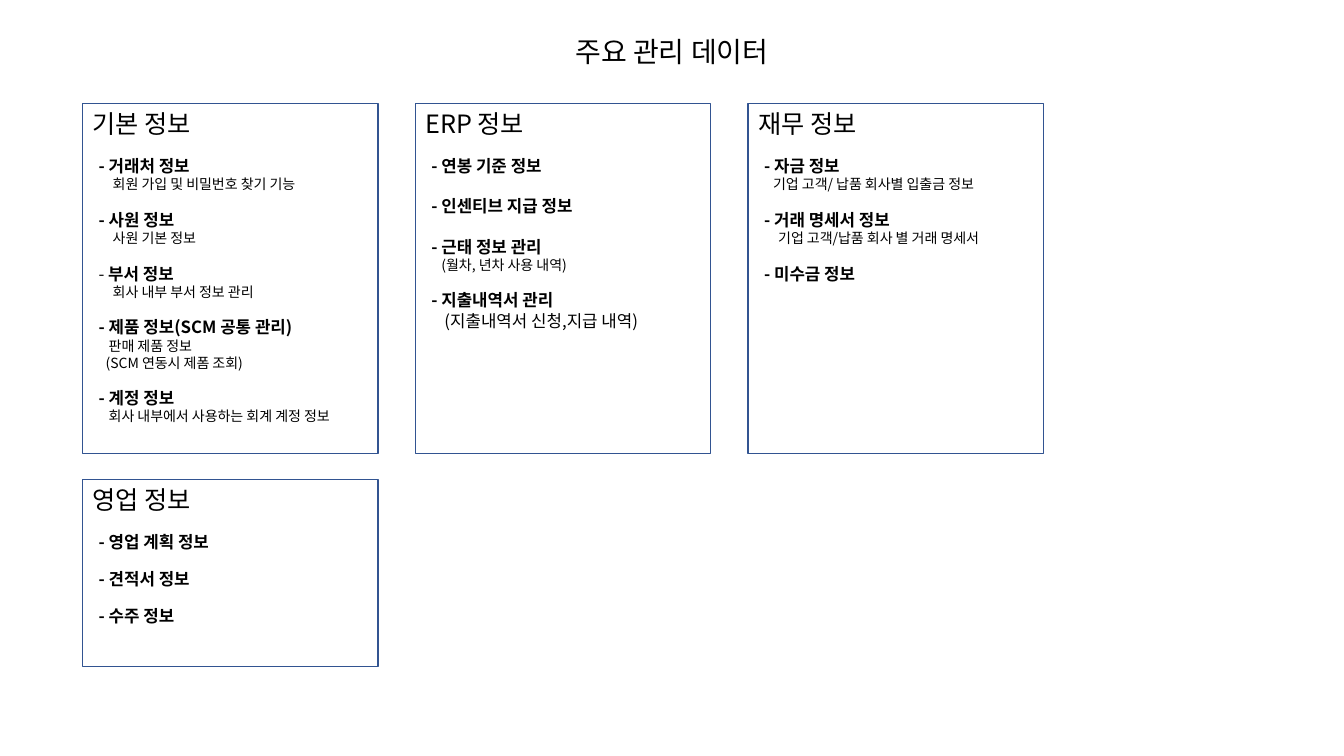
from lxml.etree import SubElement
from pptx import Presentation
from pptx.dml.color import RGBColor
from pptx.enum.shapes import MSO_SHAPE
from pptx.enum.text import MSO_ANCHOR, MSO_AUTO_SIZE, PP_ALIGN
from pptx.oxml.ns import qn
from pptx.util import Inches, Pt

FONT = "Noto Sans CJK KR"
COLORS = {"text": "000000", "border": "325491"}

# Content: heading, (column, row), items
# item: name, gap above in points, details; detail: text, indent in inches, size
TITLE = "주요 관리 데이터"
CARDS = [
    ("기본 정보", (0, 0), [
        ("거래처 정보", 12, [("회원 가입 및 비밀번호 찾기 기능", 0.2, 10)]),
        ("사원 정보", 12, [("사원 기본 정보", 0.2, 10)]),
        ("부서 정보", 12, [("회사 내부 부서 정보 관리", 0.2, 10)]),
        ("제품 정보(SCM 공통 관리)", 12, [
            ("판매 제품 정보", 0.16, 10),
            ("(SCM 연동시 제폼 조회)", 0.13, 10)]),
        ("계정 정보", 12, [("회사 내부에서 사용하는 회계 계정 정보", 0.16, 10)]),
    ]),
    ("ERP 정보", (1, 0), [
        ("연봉 기준 정보", 12, []),
        ("인센티브 지급 정보", 14.4, []),
        ("근태 정보 관리", 14.4, [("(월차, 년차 사용 내역)", 0.16, 10)]),
        ("지출내역서 관리", 12, [("(지출내역서 신청,지급 내역)", 0.19, 12)]),
    ]),
    ("재무 정보", (2, 0), [
        ("자금 정보", 12, [("기업 고객/ 납품 회사별 입출금 정보", 0.15, 10)]),
        ("거래 명세서 정보", 12, [("기업 고객/납품 회사 별 거래 명세서", 0.2, 10)]),
        ("미수금 정보", 12, []),
    ]),
    ("영업 정보", (0, 1), [
        ("영업 계획 정보", 12, []),
        ("견적서 정보", 12, []),
        ("수주 정보", 12, []),
    ]),
]
LIGHT_DASH = {"부서 정보"}

# Grid in inches
LEFT, COLUMN_STEP, CARD_WIDTH = 0.82, 3.3, 2.93
ROWS = [(1.03, 3.47), (4.76, 1.85)]  # top, height
ITEM_INDENT = 0.06


def style(run, size, bold=False):
    run.font.size = Pt(size)
    run.font.bold = bold
    run.font.name = FONT
    run.font.color.rgb = RGBColor.from_string(COLORS["text"])
    SubElement(run.font._element, qn("a:ea")).set("typeface", FONT)


def add_line(frame, parts, size, indent=0, gap=0):
    """Append a paragraph made of (text, bold) parts."""
    line = frame.add_paragraph() if frame.text else frame.paragraphs[0]
    line.alignment = PP_ALIGN.LEFT
    line.space_before = Pt(gap)
    line._p.get_or_add_pPr().set("marL", str(Inches(indent)))
    for text, bold in parts:
        run = line.add_run()
        run.text = text
        style(run, size, bold)


deck = Presentation()
deck.slide_width, deck.slide_height = Inches(13.33), Inches(7.5)
slide = deck.slides.add_slide(deck.slide_layouts[5])

# Title
title = slide.shapes.title
title.left, title.top = 0, Inches(0.29)
title.width, title.height = deck.slide_width, Inches(0.44)
title.text_frame.text = TITLE
title.text_frame.auto_size = MSO_AUTO_SIZE.NONE
title.text_frame.vertical_anchor = MSO_ANCHOR.TOP
title.text_frame.paragraphs[0].alignment = PP_ALIGN.CENTER
style(title.text_frame.paragraphs[0].runs[0], 20)

# Information cards
for heading, (column, row), items in CARDS:
    top, height = ROWS[row]
    card = slide.shapes.add_shape(
        MSO_SHAPE.RECTANGLE, Inches(LEFT + column * COLUMN_STEP), Inches(top),
        Inches(CARD_WIDTH), Inches(height))
    card.shadow.inherit = False
    card.fill.background()
    card.line.color.rgb = RGBColor.from_string(COLORS["border"])
    card.line.width = Pt(1)
    frame = card.text_frame
    frame.word_wrap = True
    frame.vertical_anchor = MSO_ANCHOR.TOP

    add_line(frame, [(heading, False)], 18)
    for name, gap, details in items:
        dash = ("- ", name not in LIGHT_DASH)
        add_line(frame, [dash, (name, True)], 12, ITEM_INDENT, gap)
        for text, indent, size in details:
            add_line(frame, [(text, False)], size, indent)

deck.save("out.pptx")
